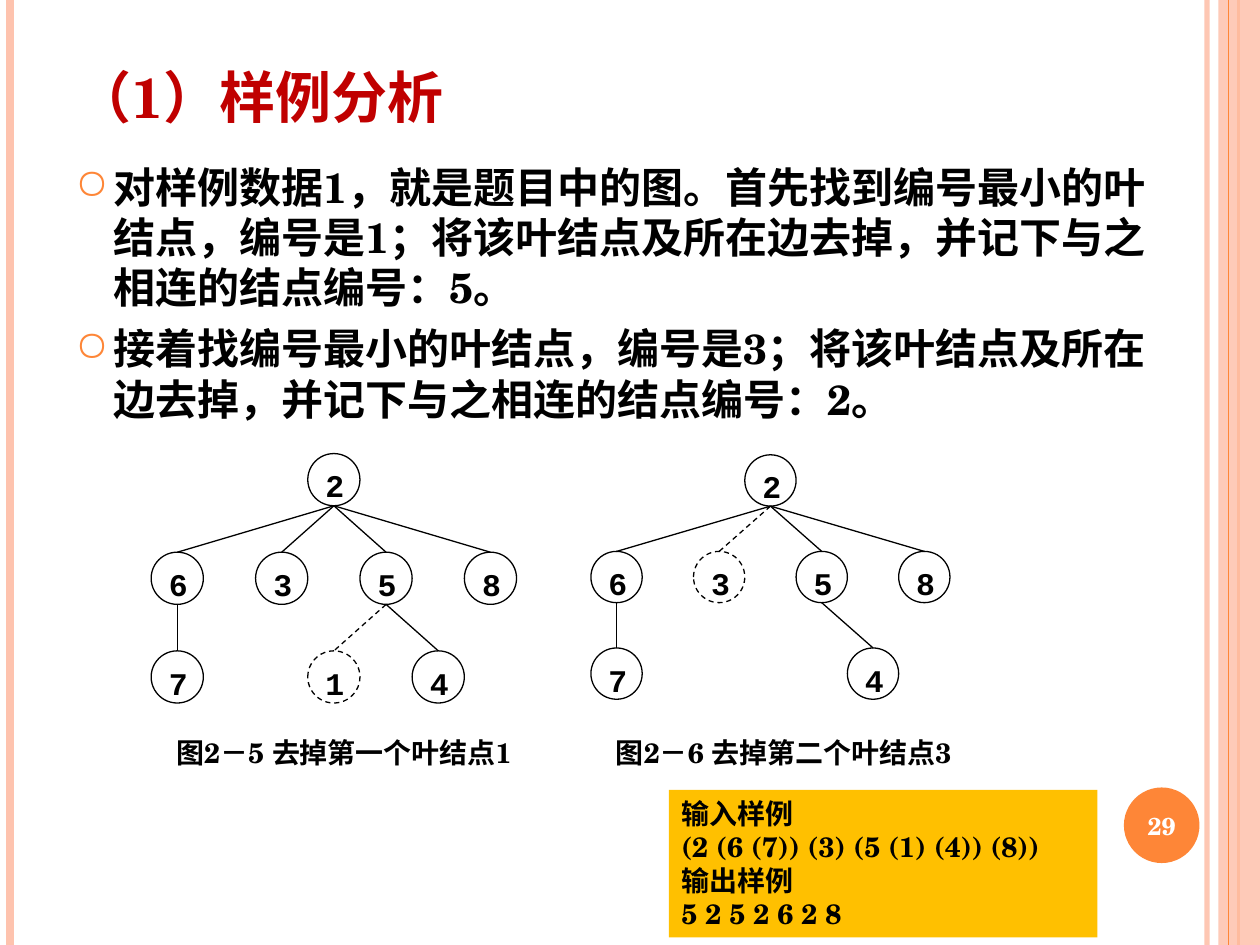
from lxml import etree
from pptx import Presentation, util as u
from pptx.dml.color import RGBColor
from pptx.enum import dml, shapes, text
from pptx.oxml.ns import qn

COLORS = {"accent": "FE8637", "pale": "FEC3AE", "title": "C00000",
          "ink": "000000", "paper": "FFFFFF", "sample": "FFC000"}
SERIF, MONO = "TeX Gyre Schola", "Courier New"
ALIGN, ANCHOR = text.PP_ALIGN, text.MSO_ANCHOR

# Grid of 100 columns by 75 rows
COLUMNS, ROWS = 100, 75
CELL = u.Inches(10) // COLUMNS

# Node: (label, column, row, parent); columns count node widths
TREE = [("2", 3, 0, None), ("6", 0, 1, "2"), ("3", 2, 1, "2"), ("5", 4, 1, "2"),
        ("8", 6, 1, "2"), ("7", 0, 2, "6"), ("1", 3, 2, "5"), ("4", 5, 2, "5")]
TREE_COLUMNS = 7


def grid(*values):
    return [round(value * CELL) for value in values]


def color(name):
    return RGBColor.from_string(COLORS[name])


def set_alpha(element, percent):
    node = next(element.iter(qn("a:srgbClr")))
    etree.SubElement(node, qn("a:alpha")).set("val", str(percent * 1000))


def add_line(parent, begin, end, name, width, dashed=False):
    line = parent.shapes.add_connector(
        shapes.MSO_CONNECTOR.STRAIGHT, *grid(*begin, *end))
    line.line.color.rgb = color(name)
    line.line.width = u.Pt(width)
    if dashed:
        line.line.dash_style = dml.MSO_LINE.DASH
    etree.SubElement(line._element.spPr, qn("a:effectLst"))
    return line


def add_block(parent, kind, box, fill, outline=None):
    shape = parent.shapes.add_shape(kind, *grid(*box))
    shape.shadow.inherit = False
    shape.fill.solid()
    shape.fill.fore_color.rgb = color(fill)
    if outline:
        shape.line.color.rgb = color(outline)
        shape.line.width = u.Pt(0.75)
    else:
        shape.line.fill.background()
    return shape


def write(shape, lines, size, name="ink", font=SERIF, align=ALIGN.LEFT,
          anchor=ANCHOR.TOP, inset=(1, 0.5)):
    frame = shape.text_frame
    frame.word_wrap = True
    frame.vertical_anchor = anchor
    frame.margin_left = frame.margin_right = grid(inset[0])[0]
    frame.margin_top = frame.margin_bottom = grid(inset[1])[0]
    for index, line in enumerate(lines):
        paragraph = frame.add_paragraph() if index else frame.paragraphs[0]
        paragraph.alignment = align
        run = paragraph.add_run()
        run.text = line
        run.font.name, run.font.size, run.font.bold = font, u.Pt(size), True
        run.font.color.rgb = color(name)
    return frame.paragraphs


def add_frame(slide):
    # Vertical rules and the band at the right edge
    def rule(x, name, width):
        return add_line(slide, (x, 0), (x, ROWS), name, width)

    set_alpha(rule(95.8, "pale", 3)._element, 93)
    rule(0.8, "pale", 4.5)
    rule(98.3, "accent", 1.5)
    band = add_block(slide, shapes.MSO_SHAPE.RECTANGLE,
                     (96.7, 0, 3.3, ROWS), "pale")
    set_alpha(band._element.spPr, 87)
    rule(97.5, "accent", 0.75)


def add_page_number(slide, box, number):
    badge = add_block(slide, shapes.MSO_SHAPE.OVAL, box, "accent")
    write(badge, [number], 14, "paper", align=ALIGN.CENTER,
          anchor=ANCHOR.MIDDLE, inset=(0, 0))


def add_title(slide, box, words):
    title = slide.shapes.title
    title.left, title.top, title.width, title.height = grid(*box)
    write(title, [words], 32, "title", anchor=ANCHOR.BOTTOM)


def add_bullets(slide, box, lines):
    body = slide.shapes.add_textbox(*grid(*box))
    for index, paragraph in enumerate(write(body, lines, 24)):
        properties = paragraph._p.get_or_add_pPr()
        indent = grid(3)[0]
        properties.set("marL", str(indent))
        properties.set("indent", str(-indent))
        bullet_color = etree.SubElement(properties, qn("a:buClr"))
        etree.SubElement(bullet_color, qn("a:srgbClr")).set("val", COLORS["accent"])
        etree.SubElement(properties, qn("a:buChar")).set("char", "○")
        if index:
            paragraph.space_before = u.Pt(6)


def add_tree(slide, box, removed, missing=()):
    # Nodes in `removed` are dashed, nodes in `missing` are left out
    left, top, width, height = box
    size = width / TREE_COLUMNS
    pitch = (height - size) / 2
    group = slide.shapes.add_group_shape()
    group_parent = GroupParent(group)
    corners = {}
    for label, column, row, parent in TREE:
        if label in missing:
            continue
        x, y = left + column * size, top + row * pitch
        corners[label] = x, y
        node = add_block(group_parent, shapes.MSO_SHAPE.OVAL,
                         (x, y, size, size), "paper", "ink")
        if label == removed:
            node.line.dash_style = dml.MSO_LINE.DASH
        write(node, [label], 18, font=MONO, align=ALIGN.CENTER, inset=(0.8, 0.4))
        if parent:
            parent_x, parent_y = corners[parent]
            add_line(group_parent, (parent_x + size / 2, parent_y + size),
                     (x + size / 2, y), "ink", 0.75, label == removed)


class GroupParent:
    """Lets a group be drawn on in the same way as a slide."""

    def __init__(self, group):
        self.shapes = group.shapes


def add_captions(slide, box, captions, second_column):
    caption = slide.shapes.add_textbox(*grid(*box))
    paragraph = write(caption, ["\t".join(captions)], 16)[0]
    tabs = etree.SubElement(paragraph._p.get_or_add_pPr(), qn("a:tabLst"))
    tab = etree.SubElement(tabs, qn("a:tab"))
    tab.set("pos", str(grid(second_column)[0]))
    tab.set("algn", "l")


def add_sample(slide, box, lines):
    write(add_block(slide, shapes.MSO_SHAPE.RECTANGLE, box, "sample"), lines, 16)


def main():
    presentation = Presentation()
    presentation.slide_width, presentation.slide_height = grid(COLUMNS, ROWS)
    slide = presentation.slides.add_slide(presentation.slide_layouts[5])
    add_frame(slide)
    add_page_number(slide, (89.2, 62.5, 6, 6), "29")
    add_title(slide, (5, 1.3, 81.7, 9.5), "（1）样例分析")
    add_bullets(slide, (5, 12.3, 89.9, 23.6), [
        "对样例数据1，就是题目中的图。首先找到编号最小的叶结点，编号是1；"
        "将该叶结点及所在边去掉，并记下与之相连的结点编号：5。",
        "接着找编号最小的叶结点，编号是3；将该叶结点及所在边去掉，"
        "并记下与之相连的结点编号：2。"])
    add_tree(slide, (12, 36, 29, 19.8), removed="1")
    add_tree(slide, (46.9, 36.1, 28.5, 19.4), removed="3", missing=("1",))
    add_captions(slide, (13, 57.9, 64.6, 6.4),
                 ["图2－5 去掉第一个叶结点1", "图2－6 去掉第二个叶结点3"], 34.9)
    add_sample(slide, (53.1, 62.7, 34, 11.7), [
        "输入样例", "(2 (6 (7)) (3) (5 (1) (4)) (8))",
        "输出样例", "5 2 5 2 6 2 8"])
    presentation.save("out.pptx")


if __name__ == "__main__":
    main()
